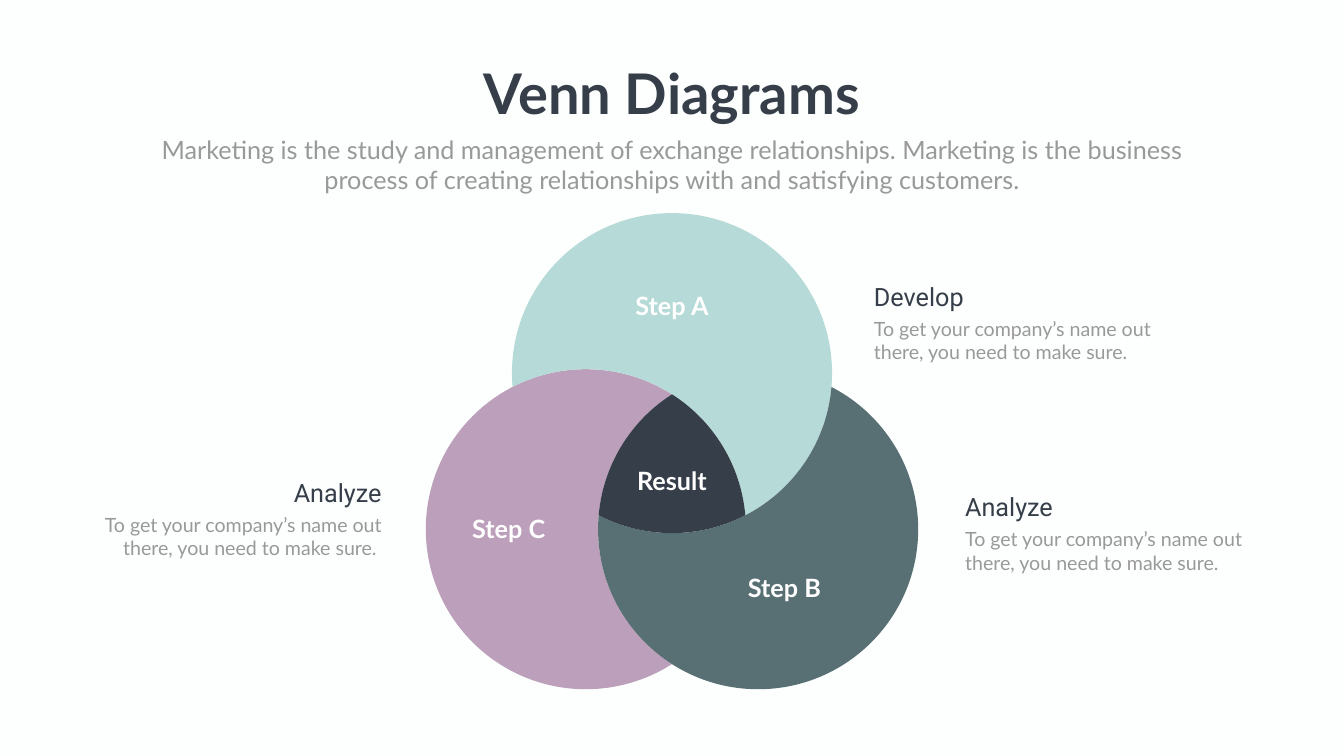
import math
import pptx
import pptx.dml.color
import pptx.enum.text
import pptx.oxml.ns
import pptx.util

Pt = pptx.util.Pt
qn = pptx.oxml.ns.qn
ALIGN = pptx.enum.text.PP_ALIGN
DARK, GREY, WHITE = "353E49", "989998", "FFFFFF"


def rgb(value):
    return pptx.dml.color.RGBColor.from_string(value)


def add_text(box, text, size, color, font="Lato", align=ALIGN.LEFT, bold=False, wrap=True):
    s = slide.shapes.add_textbox(*(Pt(v) for v in box))
    tf = s.text_frame
    tf.word_wrap = wrap
    tf.auto_size = pptx.enum.text.MSO_AUTO_SIZE.SHAPE_TO_FIT_TEXT
    p = tf.paragraphs[0]
    p.alignment = align
    r = p.add_run()
    r.text = text
    r.font.name = font
    r.font.size = Pt(size)
    r.font.bold = bold
    r.font.color.rgb = rgb(color)


prs = pptx.Presentation()
prs.slide_width, prs.slide_height = Pt(1919.52), Pt(1080)
slide = prs.slides.add_slide(prs.slide_layouts[6])
slide.background.fill.solid()
slide.background.fill.fore_color.rgb = rgb("FDFFFE")

# Callouts beside the circles: left, top, heading, body, alignment
body = "To get your company’s name out there, you need to make sure."
callouts = [
    (1241, 398, "Develop", body, ALIGN.LEFT),
    (1371.3, 699, "Analyze", body, ALIGN.LEFT),
    (114.3, 678, "Analyze", body + " ", ALIGN.RIGHT),
]
body_width, heading_width = 437.8, 217.4
for left, top, heading, detail, align in callouts:
    add_text((left, top + 50.6, body_width, 75), detail, 28, GREY, align=align)
    heading_left = left + (body_width - heading_width if align == ALIGN.RIGHT else 0)
    add_text((heading_left, top, heading_width, 51), heading, 36, DARK, "Roboto", align)

# Three equal circles and the points where each pair crosses
radius = 228.6
middle = 959.76
centers = {"A": (middle, 533), "B": (middle + 123, 756), "C": (middle - 123, 756)}
cross = {}
for first, second in ("AB", "BC", "CA"):
    (x1, y1), (x2, y2) = centers[first], centers[second]
    gap = math.hypot(x2 - x1, y2 - y1)
    reach = math.sqrt(radius ** 2 - (gap / 2) ** 2) / gap
    for side, sign in (("outer", 1), ("inner", -1)):
        cross[first + second, side] = (
            (x1 + x2) / 2 + sign * reach * (y2 - y1),
            (y1 + y2) / 2 - sign * reach * (x2 - x1),
        )
ab_out, bc_out, ca_out = (cross[pair, "outer"] for pair in ("AB", "BC", "CA"))
ab_in, bc_in, ca_in = (cross[pair, "inner"] for pair in ("AB", "BC", "CA"))

# Regions as arcs: circle, from, to, clockwise
regions = [
    ("BC9FBB", [("C", bc_out, bc_in, True), ("B", bc_in, bc_out, False)]),
    ("B6DAD7", [("A", ca_out, ca_in, True), ("C", ca_in, ca_out, False)]),
    ("587074", [("B", ab_out, ab_in, True), ("A", ab_in, ab_out, False)]),
    (DARK, [("C", bc_in, ca_in, True), ("A", ca_in, ab_in, True), ("B", ab_in, bc_in, True)]),
]
quarter = math.pi / 2
for color, arcs in regions:
    points = [arcs[0][1]]
    for circle, start, end, clockwise in arcs:
        cx, cy = centers[circle]
        a0 = math.atan2(start[1] - cy, start[0] - cx)
        sweep = (math.atan2(end[1] - cy, end[0] - cx) - a0) % math.tau
        a1 = a0 + sweep - (0 if clockwise else math.tau)
        # Split at the quadrants, so each piece is one Bezier curve
        stops = [k * quarter for k in range(-8, 9) if min(a0, a1) < k * quarter < max(a0, a1)]
        stops = sorted([a0, a1] + stops, reverse=not clockwise)
        for a, b in zip(stops, stops[1:]):
            h = 4 / 3 * math.tan((b - a) / 4)
            for angle, pull in ((a, h), (b, -h), (b, 0)):
                cos, sin = math.cos(angle), math.sin(angle)
                points.append((cx + radius * (cos - pull * sin), cy + radius * (sin + pull * cos)))
    points = [(Pt(x), Pt(y)) for x, y in points]
    builder = slide.shapes.build_freeform(*points[0], scale=1.0)
    builder.add_line_segments(points[1:], close=True)
    s = builder.convert_to_shape()
    s.shadow.inherit = False
    s.fill.solid()
    s.fill.fore_color.rgb = rgb(color)
    s.line.fill.background()
    # Turn every three line points into one curve
    outline = next(s.element.iter(qn("a:path")))
    lines = outline.findall(qn("a:lnTo"))
    for i in range(0, len(lines), 3):
        curve = outline.makeelement(qn("a:cubicBezTo"))
        lines[i].addprevious(curve)
        for line in lines[i:i + 3]:
            curve.append(line[0])
            outline.remove(line)

# Labels on the regions
labels = [("Step A", 871.2, 411.8), ("Step B", 1031.8, 814.3),
          ("Step C", 637.9, 730.1), ("Result", 871.2, 661)]
for label, left, top in labels:
    add_text((left, top, 177.1, 51), label, 36, WHITE, align=ALIGN.CENTER, bold=True)

# Title and subtitle
add_text((675.7, 80.6, 568, 104.4), "Venn Diagrams", 80, DARK,
         align=ALIGN.CENTER, bold=True, wrap=False)
add_text((210.2, 187.9, 1499, 94.3),
         "Marketing is the study and management of exchange relationships. "
         "Marketing is the business process of creating relationships with "
         "and satisfying customers.", 36, GREY, align=ALIGN.CENTER)

prs.save("out.pptx")
